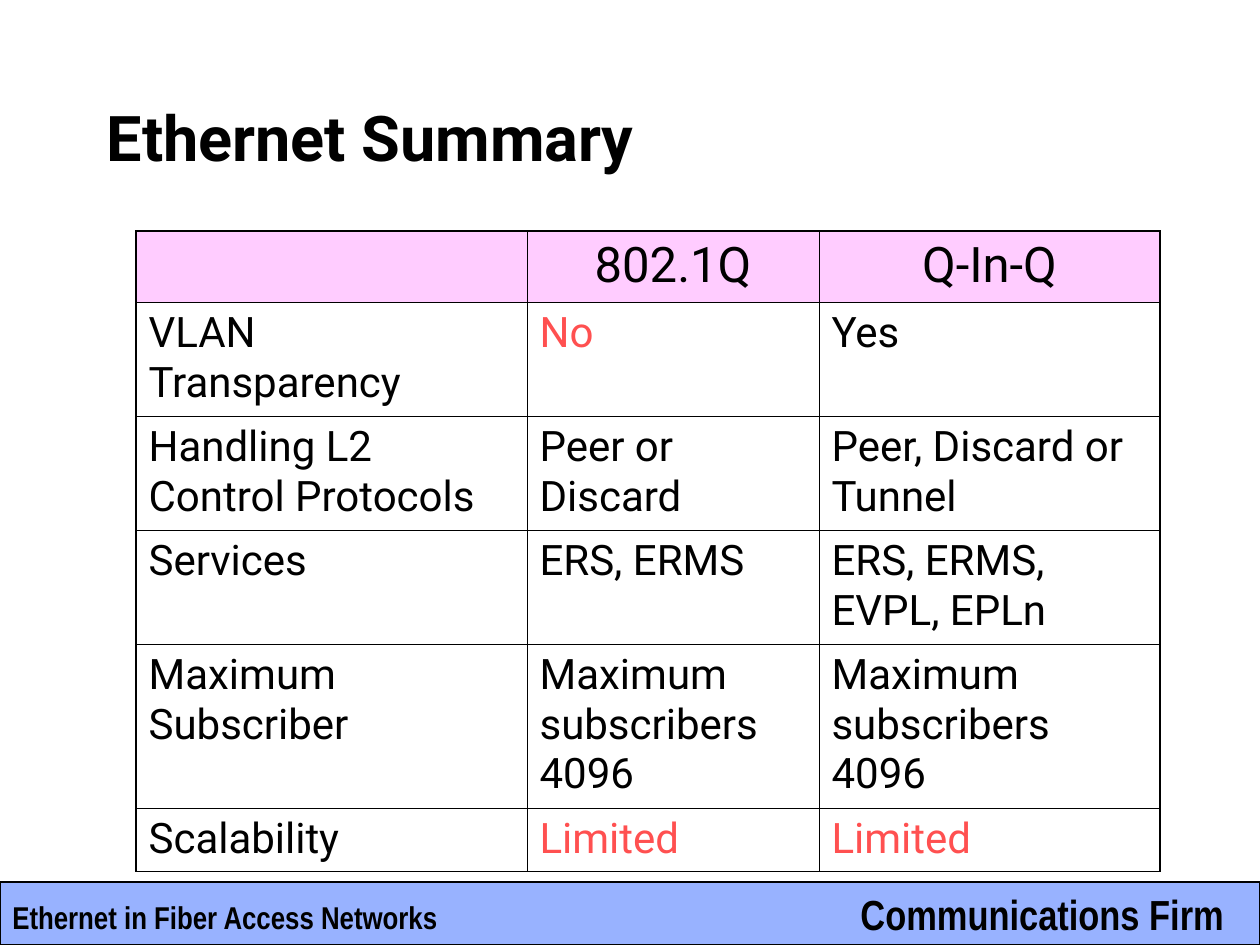
from lxml.etree import SubElement
from pptx import Presentation
from pptx.dml.color import RGBColor
from pptx.enum.shapes import MSO_SHAPE
from pptx.enum.text import MSO_ANCHOR, MSO_AUTO_SIZE, PP_ALIGN
from pptx.oxml.ns import qn
from pptx.util import Pt

# Content
TITLE = "Ethernet Summary"
HEADER = ["", "802.1Q", "Q-In-Q"]
ROWS = [
    ["VLAN Transparency", "No", "Yes"],
    ["Handling L2 Control Protocols", "Peer or Discard", "Peer, Discard or Tunnel"],
    ["Services", "ERS, ERMS", "ERS, ERMS, EVPL, EPLn"],
    ["Maximum Subscriber", "Maximum subscribers 4096", "Maximum subscribers 4096"],
    ["Scalability", "Limited", "Limited"],
]
WEAK_POINTS = {"No", "Limited"}
# Footer: text, size, left, top, width, height
FOOTERS = [
    ("Communications Firm", 24, 848, 882, 412, 63),
    ("Ethernet in Fiber Access Networks", 18, 0, 892, 451, 50),
]

# Layout in px
COLUMN_WIDTHS = [391, 292, 341]
ROW_HEIGHTS = [71, 114, 114, 114, 164, 63]
TABLE_LEFT, TABLE_TOP = 136, 231
THIN, THICK = 0.45, 1.08

BLACK = RGBColor(0x00, 0x00, 0x00)
RED = RGBColor(0xFF, 0x50, 0x50)
PINK = RGBColor(0xFF, 0xCC, 0xFF)
BLUE = RGBColor(0x33, 0x66, 0xFF)
BODY_FONT, FOOTER_FONT = "Roboto", "Arial Narrow"


def px(*lengths):
    return [round(length * 914400 / 126) for length in lengths]


def write(frame, text, size, font=BODY_FONT, color=BLACK, bold=False, align=PP_ALIGN.LEFT):
    paragraph = frame.paragraphs[0]
    paragraph.alignment = align
    run = paragraph.add_run()
    run.text = text
    run.font.size = Pt(size)
    run.font.name = font
    run.font.bold = bold
    run.font.color.rgb = color


def set_borders(cell, widths):
    properties = cell._tc.get_or_add_tcPr()
    for side in "LRTB":
        line = SubElement(properties, qn(f"a:ln{side}"), w=str(Pt(widths[side])))
        fill = SubElement(line, qn("a:solidFill"))
        SubElement(fill, qn("a:srgbClr"), val=str(BLACK))


presentation = Presentation()
presentation.slide_width, presentation.slide_height = px(1260, 945)
slide = presentation.slides.add_slide(presentation.slide_layouts[5])

# Title
title = slide.shapes.title
title.left, title.top, title.width, title.height = px(94, 84, 1072, 105)
title.text_frame.vertical_anchor = MSO_ANCHOR.MIDDLE
title.text_frame.auto_size = MSO_AUTO_SIZE.NONE
write(title.text_frame, TITLE, 36, bold=True)

# Footer band, half transparent
band = slide.shapes.add_shape(MSO_SHAPE.RECTANGLE, *px(0, 882, 1260, 63))
band.shadow.inherit = False
band.fill.solid()
band.fill.fore_color.rgb = BLUE
band_color = band._element.spPr.find(qn("a:solidFill")).find(qn("a:srgbClr"))
SubElement(band_color, qn("a:alpha"), val="50000")
band.line.color.rgb = BLACK
band.line.width = Pt(0.75)

# Footer texts
for text, size, *place in FOOTERS:
    frame = slide.shapes.add_textbox(*px(*place)).text_frame
    frame.word_wrap = False
    frame.auto_size = MSO_AUTO_SIZE.SHAPE_TO_FIT_TEXT
    write(frame, text, size, font=FOOTER_FONT, bold=True)

# Comparison table
cells = [HEADER] + ROWS
last_row, last_column = len(cells) - 1, len(HEADER) - 1
table = slide.shapes.add_table(
    len(cells), len(HEADER),
    *px(TABLE_LEFT, TABLE_TOP, sum(COLUMN_WIDTHS), sum(ROW_HEIGHTS)),
).table
table.first_row = table.horz_banding = False
for column, width in zip(table.columns, px(*COLUMN_WIDTHS)):
    column.width = width
for row, height in zip(table.rows, px(*ROW_HEIGHTS)):
    row.height = height

for r, texts in enumerate(cells):
    for c, text in enumerate(texts):
        cell = table.cell(r, c)
        outer = {"L": c == 0, "R": c == last_column, "T": r == 0, "B": r == last_row}
        set_borders(cell, {side: THICK if edge else THIN for side, edge in outer.items()})
        if r == 0:
            cell.fill.solid()
            cell.fill.fore_color.rgb = PINK
        else:
            cell.fill.background()
        if text:
            write(cell.text_frame, text, 28 if r == 0 else 24,
                  color=RED if text in WEAK_POINTS else BLACK,
                  align=PP_ALIGN.CENTER if r == 0 else PP_ALIGN.LEFT)

presentation.save("out.pptx")
